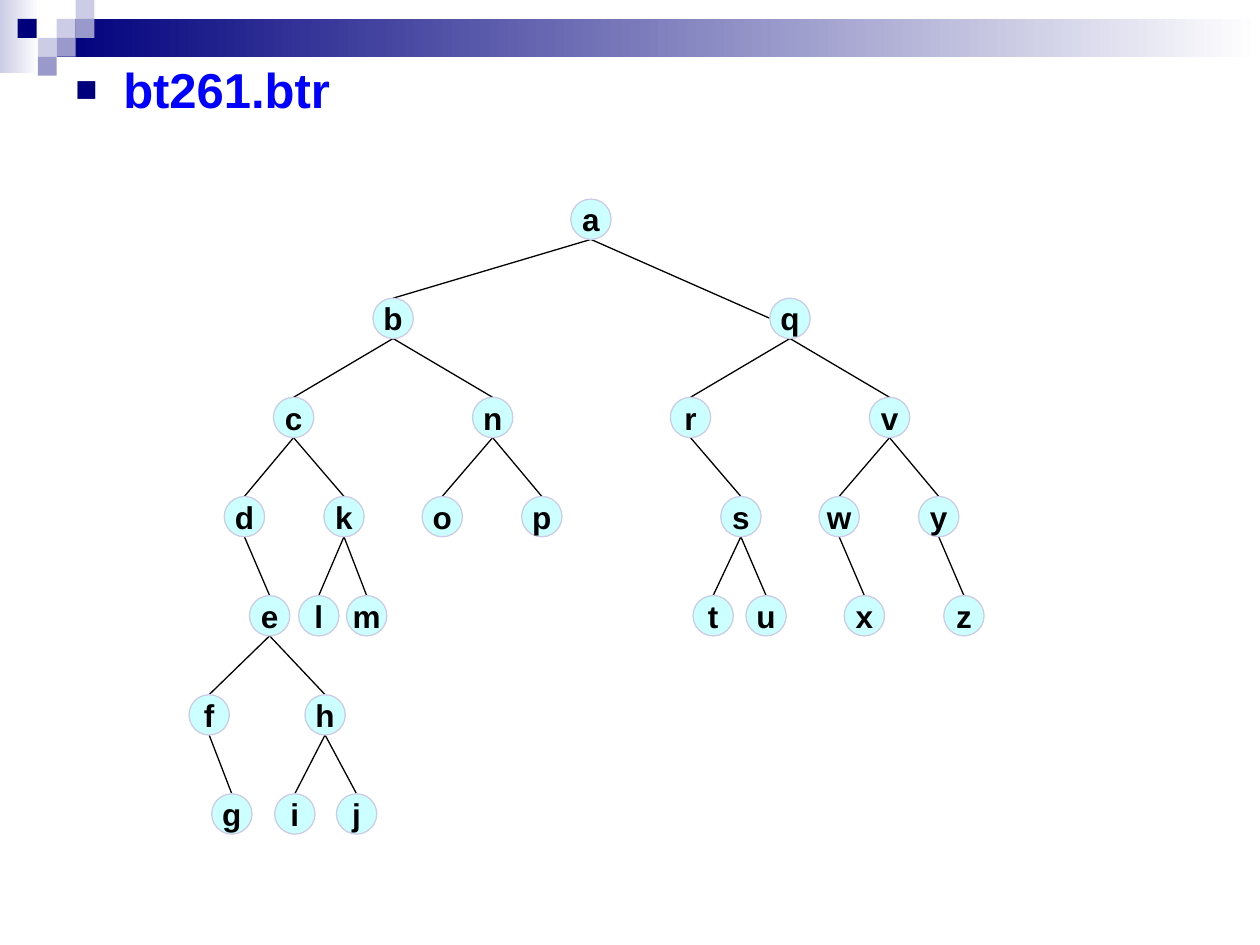
import dataclasses

import pptx
import pptx.dml.color
import pptx.enum.shapes
import pptx.enum.text
import pptx.oxml.ns
import pptx.util
from lxml import etree
from pptx.util import Inches

FONT = "Arial"
NAVY, LAVENDER, VIOLET, WHITE = "00007D", "CCCCE6", "9999CC", "FFFFFF"
BLUE, CYAN, BLACK = "0000FF", "CCFFFF", "000000"

SQUARE = 0.15
NODE_SIZE = 0.32
FIRST_ROW, LAST_ROW, LAST_LEVEL = 1.58, 6.3, 6
ROW_STEP = (LAST_ROW - FIRST_ROW) / LAST_LEVEL


@dataclasses.dataclass
class Band:
    left: float
    top: float
    width: float
    height: float
    start: str


@dataclasses.dataclass
class Square:
    left: float
    top: float
    color: str


@dataclasses.dataclass
class Node:
    label: str
    center: float
    parent: str = ""
    enters_left: bool = False


BANDS = [Band(0, 0, 0.31, 0.58, LAVENDER), Band(0.45, 0.15, 9.55, 0.3, NAVY)]

SQUARES = [
    Square(0.45, 0.15, LAVENDER),
    Square(0.6, 0, LAVENDER),
    Square(0.6, 0.15, VIOLET),
    Square(0.3, 0.3, LAVENDER),
    Square(0.14, 0.15, NAVY),
    Square(0.45, 0.3, VIOLET),
    Square(0.3, 0.45, VIOLET),
]

# Parents come before their children
TREE = [
    Node("a", 4.69),
    Node("b", 3.12, "a"),
    Node("q", 6.27, "a", enters_left=True),
    Node("c", 2.33, "b"),
    Node("n", 3.91, "b"),
    Node("r", 5.48, "q"),
    Node("v", 7.06, "q"),
    Node("d", 1.94, "c"),
    Node("k", 2.73, "c"),
    Node("o", 3.51, "n"),
    Node("p", 4.3, "n"),
    Node("s", 5.88, "r"),
    Node("w", 6.66, "v"),
    Node("y", 7.45, "v"),
    Node("e", 2.14, "d"),
    Node("l", 2.53, "k"),
    Node("m", 2.91, "k"),
    Node("t", 5.66, "s"),
    Node("u", 6.08, "s"),
    Node("x", 6.86, "w"),
    Node("z", 7.65, "y"),
    Node("f", 1.66, "e"),
    Node("h", 2.58, "e"),
    Node("g", 1.84, "f"),
    Node("i", 2.34, "h"),
    Node("j", 2.83, "h"),
]
NODES = {node.label: node for node in TREE}


def rgb(color: str) -> pptx.dml.color.RGBColor:
    return pptx.dml.color.RGBColor.from_string(color)


def add_shape(page, kind, left: float, top: float, width: float, height: float):
    shape = page.shapes.add_shape(
        kind, Inches(left), Inches(top), Inches(width), Inches(height))
    shape.shadow.inherit = False
    shape.line.fill.background()
    return shape


def set_font(para, size: int, color: str) -> None:
    para.font.name = FONT
    para.font.size = pptx.util.Pt(size)
    para.font.bold = True
    para.font.color.rgb = rgb(color)


def add_band(page, band: Band) -> None:
    shape = add_shape(page, pptx.enum.shapes.MSO_SHAPE.RECTANGLE,
                      band.left, band.top, band.width, band.height)
    shape.fill.gradient()
    shape.fill.gradient_angle = 0
    for stop, color in zip(shape.fill.gradient_stops, (band.start, WHITE)):
        stop.color.rgb = rgb(color)


def add_square(page, square: Square) -> None:
    shape = add_shape(page, pptx.enum.shapes.MSO_SHAPE.RECTANGLE,
                      square.left, square.top, SQUARE, SQUARE)
    shape.fill.solid()
    shape.fill.fore_color.rgb = rgb(square.color)


def add_bullet(para, color: str) -> None:
    qn = pptx.oxml.ns.qn
    properties = para._p.get_or_add_pPr()
    properties.set("marL", str(Inches(0.38)))
    properties.set("indent", str(Inches(-0.38)))
    bullet_color = etree.SubElement(properties, qn("a:buClr"))
    etree.SubElement(bullet_color, qn("a:srgbClr"), val=color)
    etree.SubElement(properties, qn("a:buSzPct"), val="75000")
    etree.SubElement(properties, qn("a:buFont"), typeface=FONT)
    etree.SubElement(properties, qn("a:buChar"), char="■")


def add_heading(page, text: str) -> None:
    box = page.shapes.add_textbox(
        Inches(0.5), Inches(0.42), Inches(9.08), Inches(7.08))
    box.text_frame.word_wrap = True
    para = box.text_frame.paragraphs[0]
    para.text = text
    para.space_before = pptx.util.Pt(7)
    add_bullet(para, NAVY)
    set_font(para, 28, BLUE)


def level(node: Node) -> int:
    return level(NODES[node.parent]) + 1 if node.parent else 0


def node_top(node: Node) -> float:
    return FIRST_ROW + level(node) * ROW_STEP


def add_edge(page, node: Node) -> None:
    parent = NODES[node.parent]
    end_x, end_y = node.center, node_top(node)
    if node.enters_left:
        end_x -= NODE_SIZE / 2
        end_y += NODE_SIZE / 2
    edge = page.shapes.add_connector(
        pptx.enum.shapes.MSO_CONNECTOR.STRAIGHT,
        Inches(parent.center), Inches(node_top(parent) + NODE_SIZE),
        Inches(end_x), Inches(end_y))
    edge.line.color.rgb = rgb(BLACK)
    edge.line.width = pptx.util.Pt(0.75)
    etree.SubElement(edge._element.spPr, pptx.oxml.ns.qn("a:effectLst"))


def add_node(page, node: Node) -> None:
    shape = add_shape(page, pptx.enum.shapes.MSO_SHAPE.OVAL,
                      node.center - NODE_SIZE / 2, node_top(node),
                      NODE_SIZE, NODE_SIZE)
    shape.fill.solid()
    shape.fill.fore_color.rgb = rgb(CYAN)
    shape.line.color.rgb = rgb(LAVENDER)
    shape.line.width = pptx.util.Pt(0.75)
    frame = shape.text_frame
    frame.word_wrap = False
    frame.vertical_anchor = pptx.enum.text.MSO_ANCHOR.MIDDLE
    para = frame.paragraphs[0]
    para.text = node.label
    para.alignment = pptx.enum.text.PP_ALIGN.CENTER
    set_font(para, 18, BLACK)


def main() -> None:
    deck = pptx.Presentation()
    deck.slide_width, deck.slide_height = Inches(10), Inches(7.5)
    page = deck.slides.add_slide(deck.slide_layouts[6])

    # Header decoration
    for band in BANDS:
        add_band(page, band)
    for square in SQUARES:
        add_square(page, square)

    add_heading(page, "bt261.btr")

    # Binary tree
    for node in TREE:
        if node.parent:
            add_edge(page, node)
    for node in TREE:
        add_node(page, node)

    deck.save("out.pptx")


if __name__ == "__main__":
    main()
